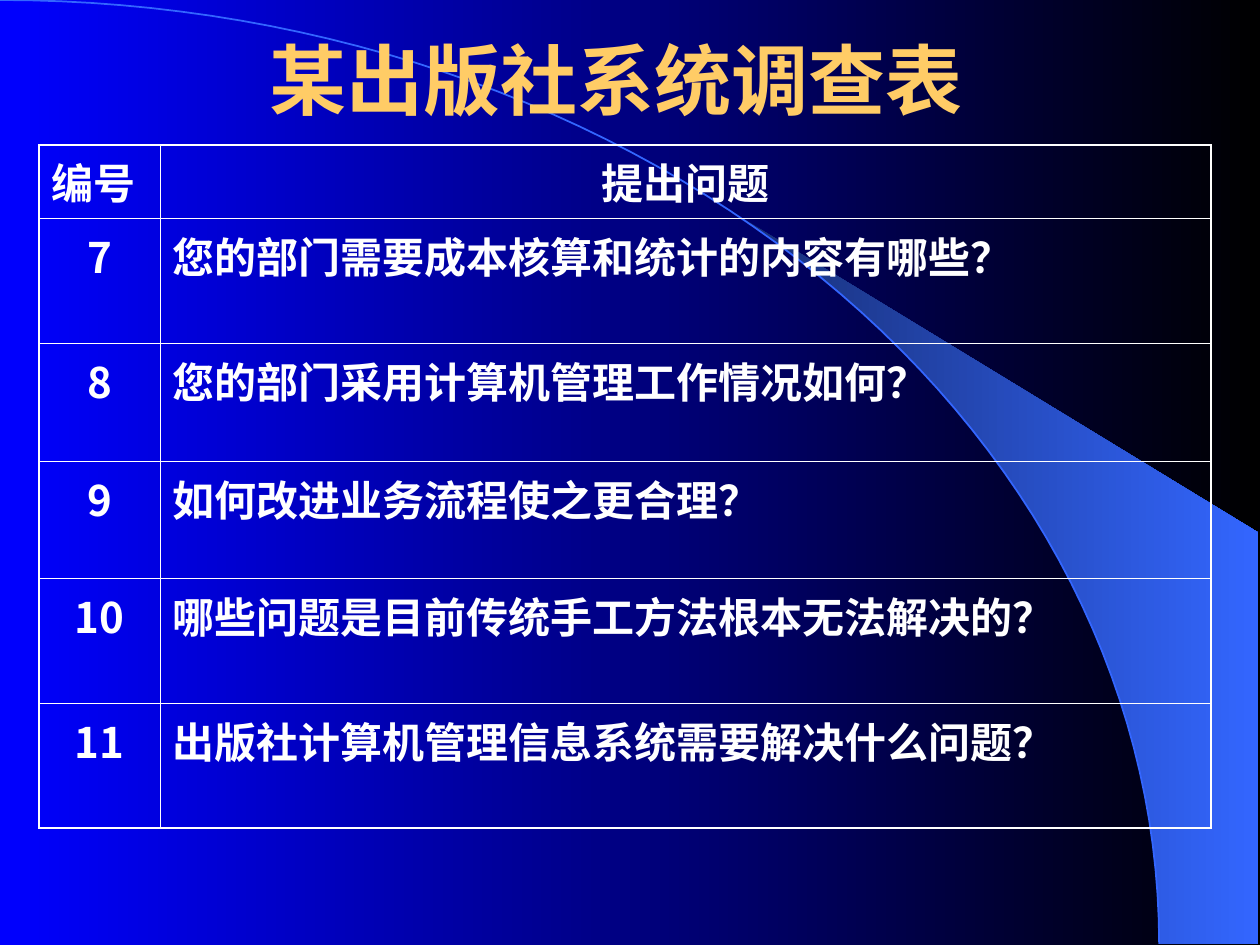
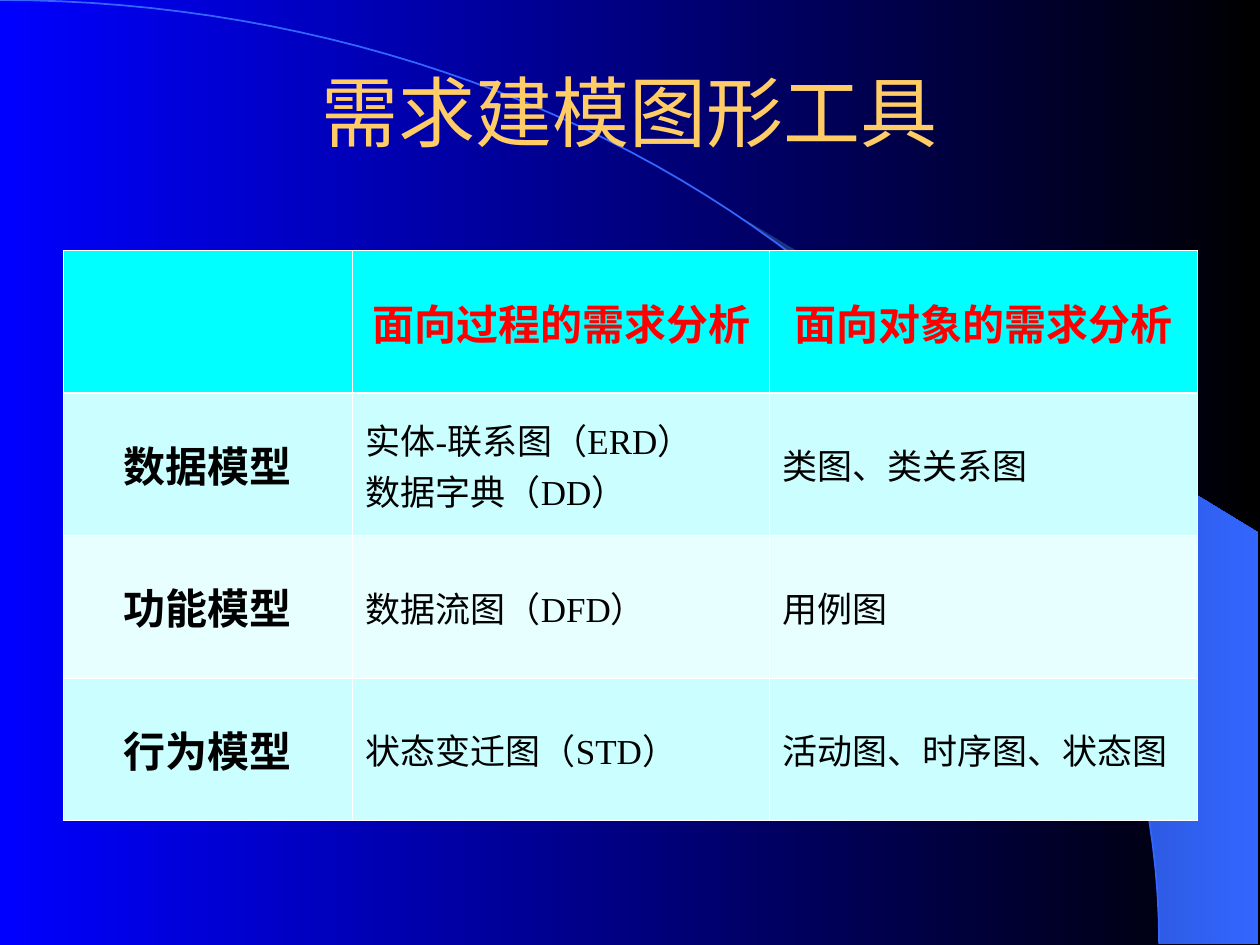
from math import asin, cos, pi, sin

from lxml.etree import SubElement
from pptx import Presentation
from pptx.dml.color import RGBColor
from pptx.enum.text import MSO_ANCHOR, MSO_AUTO_SIZE, PP_ALIGN
from pptx.oxml.ns import qn
from pptx.util import Inches, Pt

BLUE = RGBColor(0x00, 0x00, 0xFF)
BLACK = RGBColor(0x00, 0x00, 0x00)
NAVY = RGBColor(0x18, 0x2F, 0x76)
SKY = RGBColor(0x33, 0x66, 0xFF)
GOLD = RGBColor(0xFF, 0xCC, 0x66)
WHITE = RGBColor(0xFF, 0xFF, 0xFF)
RED = RGBColor(0xFF, 0x00, 0x00)
CYAN = RGBColor(0x00, 0xFF, 0xFF)
PALE = RGBColor(0xCB, 0xFF, 0xFF)
LIGHT = RGBColor(0xE7, 0xFF, 0xFF)

SANS = "Noto Sans CJK SC"
SERIF = "Times New Roman"
THIN = 0.45
ARC_W, ARC_H = 9.2, 7.49
WING_X, WING_Y = 5.89, 1.73

SURVEY = [
    ("编号", "提出问题"),
    ("7", "您的部门需要成本核算和统计的内容有哪些？"),
    ("8", "您的部门采用计算机管理工作情况如何？"),
    ("9", "如何改进业务流程使之更合理？"),
    ("10", "哪些问题是目前传统手工方法根本无法解决的？"),
    ("11", "出版社计算机管理信息系统需要解决什么问题？"),
]
TOOLS = [
    ("", "面向过程的需求分析", "面向对象的需求分析"),
    ("数据模型", "实体-联系图（ERD）\n数据字典（DD）", "类图、类关系图"),
    ("功能模型", "数据流图（DFD）", "用例图"),
    ("行为模型", "状态变迁图（STD）", "活动图、时序图、状态图"),
]


def set_font(para, name, size, color, bold=False):
    font = para.font
    font.name, font.size, font.bold = name, Pt(size), bold
    font.color.rgb = color
    node = para._p.pPr.find(qn("a:defRPr"))
    SubElement(node, qn("a:ea"), typeface=SANS)


def shade(fill, first, last):
    """Fill with a gradient from left to right."""
    fill.gradient()
    fill.gradient_angle = 0
    for stop, color, place in zip(fill.gradient_stops, (first, last), (0, 1)):
        stop.color.rgb, stop.position = color, place


def arc_points(start, steps=60):
    """Points of the quarter ellipse from angle start to its right foot."""
    turns = [start + (pi / 2 - start) * i / steps for i in range(steps + 1)]
    return [(ARC_W * sin(t), ARC_H * (1 - cos(t))) for t in turns]


def add_path(slide, points, close):
    spots = [(Inches(x), Inches(y)) for x, y in points]
    pen = slide.shapes.build_freeform(*spots[0])
    pen.add_line_segments(spots[1:], close=close)
    shape = pen.convert_to_shape()
    shape.shadow.inherit = False
    return shape


def dress_master(prs, slide):
    """Give the master its background, wing and arc, drawn by way of slide."""
    master = prs.slide_master
    shade(master.background.fill, BLUE, BLACK)

    edge = arc_points(asin(WING_X / ARC_W))
    wing = add_path(slide, [(WING_X, WING_Y)] + edge
                    + [(9.99, ARC_H), (9.99, 4.23)], True)
    shade(wing.fill, NAVY, SKY)
    wing.line.fill.background()

    arc = add_path(slide, arc_points(0), False)
    arc.fill.background()
    arc.line.color.rgb = SKY
    arc.line.width = Pt(1)

    for place, shape in enumerate((wing, arc), 2):
        master.shapes.element.insert(place, shape.element)


def set_title(slide, text, box, name, bold):
    title = slide.shapes.title
    title.left, title.top, title.width, title.height = map(Inches, box)
    frame = title.text_frame
    frame.text = text
    frame.auto_size = MSO_AUTO_SIZE.NONE
    frame.vertical_anchor = MSO_ANCHOR.MIDDLE
    para = frame.paragraphs[0]
    para.alignment = PP_ALIGN.CENTER
    set_font(para, name, 44, GOLD, bold)


def add_grid(slide, data, left, top, cols, rows):
    spots = map(Inches, (left, top, sum(cols), sum(rows)))
    table = slide.shapes.add_table(len(rows), len(cols), *spots).table
    table.first_row = table.horz_banding = False
    for col, width in zip(table.columns, cols):
        col.width = Inches(width)
    for row, height in zip(table.rows, rows):
        row.height = Inches(height)
    for r, line in enumerate(data):
        for c, text in enumerate(line):
            table.cell(r, c).text = text
    return table


def set_edges(cell, left, right, top, bottom):
    """Draw white borders of the given widths in points."""
    props = cell._tc.get_or_add_tcPr()
    for side, width in zip("LRTB", (left, right, top, bottom)):
        line = SubElement(props, qn("a:ln" + side), w=str(Pt(width)))
        fill = SubElement(line, qn("a:solidFill"))
        SubElement(fill, qn("a:srgbClr"), val=str(WHITE))


def set_cell(cell, align, name, size, color, bold):
    for para in cell.text_frame.paragraphs:
        para.alignment = align
        set_font(para, name, size, color, bold)


def fill_survey(slide):
    set_title(slide, "某出版社系统调查表", (0, 0.34, 9.78, 0.57), SANS, True)
    rows = [0.52, 0.99, 0.94, 0.93, 0.99, 0.99]
    table = add_grid(slide, SURVEY, 0.31, 1.15, [0.96, 8.34], rows)
    last = len(rows) - 1
    for r in range(len(rows)):
        for c in range(2):
            cell = table.cell(r, c)
            outer = (c == 0, c == 1, r == 0, r == last)
            set_edges(cell, *(1.08 if out else THIN for out in outer))
            cell.fill.background()
            mid = (r == 0) != (c == 0)
            align = PP_ALIGN.CENTER if mid else PP_ALIGN.LEFT
            set_cell(cell, align, SANS, 24, WHITE, True)


def fill_tools(slide):
    set_title(slide, "需求建模图形工具", (0.5, 0, 9, 1.75), "Arial", False)
    table = add_grid(slide, TOOLS, 0.5, 1.99, [2.3, 3.31, 3.39], [1.13] * 4)
    for r, back in enumerate((CYAN, PALE, LIGHT, PALE)):
        for c in range(3):
            cell = table.cell(r, c)
            set_edges(cell, THIN, THIN, 1.47 if r == 1 else THIN,
                      1.47 if r == 0 else THIN)
            cell.fill.solid()
            cell.fill.fore_color.rgb = back
            cell.vertical_anchor = MSO_ANCHOR.MIDDLE
            head = r == 0 or c == 0
            set_cell(cell, PP_ALIGN.CENTER if head else PP_ALIGN.LEFT, SERIF,
                     24 if head else 20, RED if r == 0 else BLACK, head)


def main():
    prs = Presentation()
    prs.slide_width, prs.slide_height = Inches(10), Inches(7.5)
    layout = prs.slide_layouts.get_by_name("Title Only")
    survey, tools = (prs.slides.add_slide(layout) for _ in range(2))
    dress_master(prs, survey)
    fill_survey(survey)
    fill_tools(tools)
    prs.save("out.pptx")


if __name__ == "__main__":
    main()
